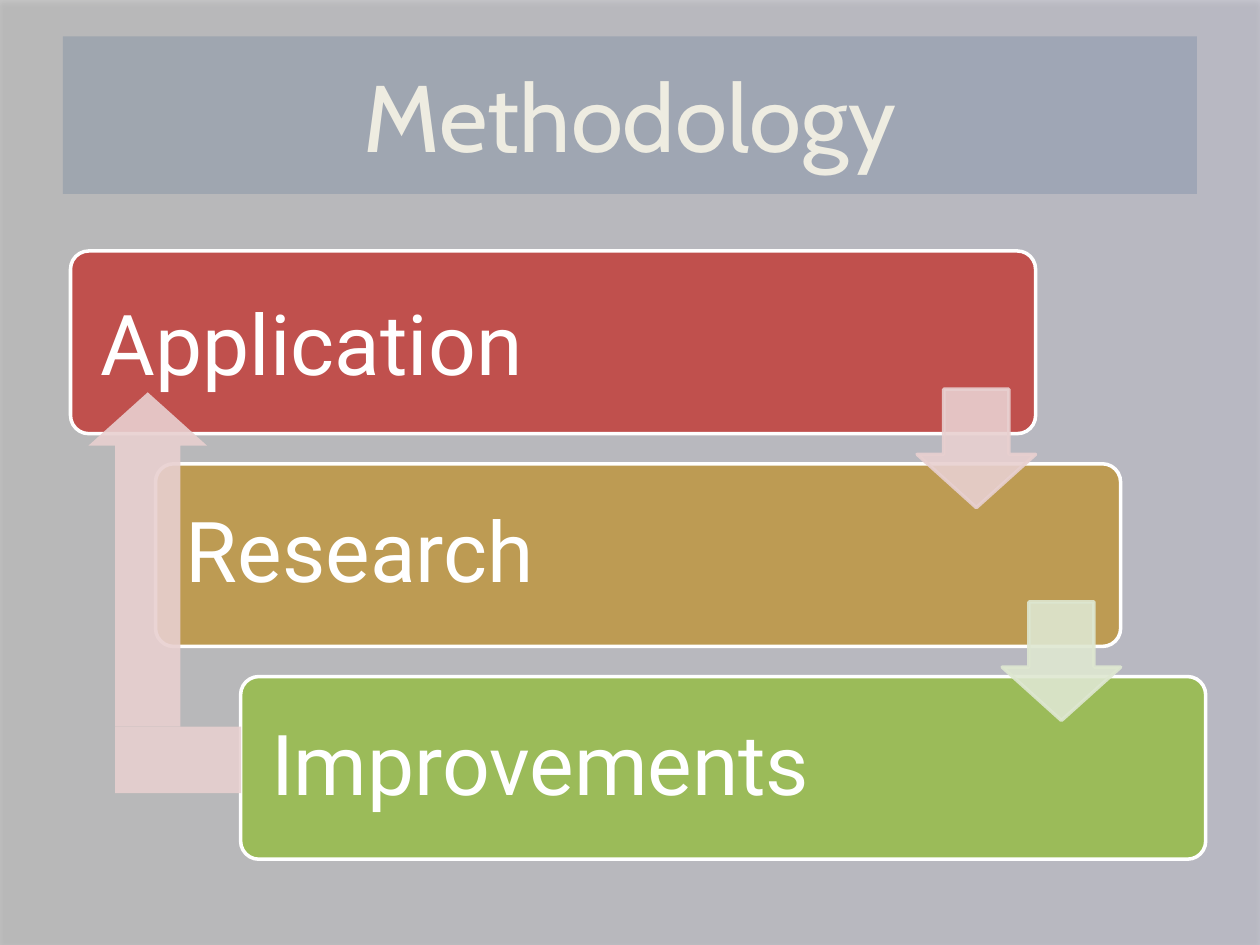
from collections import namedtuple

from lxml import etree
from pptx import Presentation
from pptx.dml.color import RGBColor
from pptx.enum.shapes import MSO_SHAPE as Preset
from pptx.enum.text import MSO_ANCHOR as Anchor, PP_ALIGN as Align
from pptx.oxml.ns import qn
from pptx.util import Pt

Box = namedtuple("Box", "left top width height")

COLORS = {
    "black": "000000", "midnight": "00002A", "navy": "1F497D",
    "cream": "EEECE1", "white": "FFFFFF", "red": "C0504D",
    "gold": "BD9B53", "green": "9BBB59", "pink": "E8D0D0", "mint": "DEE7D1",
}
STEPS = [
    ("Application", "red", "pink", 1.0, 439.2),
    ("Research", "gold", "mint", 0.9, 429.1),
    ("Improvements", "green", None, 0.9, 429.1),
]


def rgb(name):
    """Return the palette colour of the given name."""
    return RGBColor.from_string(COLORS[name])


def set_alpha(shape, percent):
    """Give every colour of a shape's fill and line the same opacity."""
    for color in shape._element.spPr.iter(qn("a:srgbClr")):
        etree.SubElement(color, qn("a:alpha"), val=str(percent * 1000))


def add_shape(page, preset, box, fill, line=None, opacity=100, adjust=()):
    """Draw a flat preset shape in the box."""
    shape = page.shapes.add_shape(preset, *map(Pt, box))
    shape.shadow.inherit = False
    for index, value in enumerate(adjust):
        shape.adjustments[index] = value
    shape.fill.solid()
    shape.fill.fore_color.rgb = rgb(fill)
    if line:
        shape.line.color.rgb = rgb(line)
        shape.line.width = Pt(2)
    else:
        shape.line.fill.background()
    if opacity < 100:
        set_alpha(shape, opacity)
    return shape


def write(shape, text, font, size, color, align, inset=None, spacing=1.0):
    """Set one vertically centred line of text in a shape."""
    frame = shape.text_frame
    frame.word_wrap = True
    frame.vertical_anchor = Anchor.MIDDLE
    if inset is not None:
        frame.margin_left = frame.margin_right = Pt(inset)
        frame.margin_top = frame.margin_bottom = Pt(inset)
    para = frame.paragraphs[0]
    para.alignment = align
    para.line_spacing = spacing
    span = para.add_run()
    span.text = text
    span.font.name = font
    span.font.size = Pt(size)
    span.font.color.rgb = rgb(color)


def add_backdrop(page, box):
    """Cover the box with a translucent gradient and a soft shadow."""
    shape = add_shape(page, Preset.RECTANGLE, box, "black")
    shape.fill.gradient()
    shape.fill.gradient_angle = 0
    for stop, name in zip(shape.fill.gradient_stops, ("black", "midnight")):
        stop.color.rgb = rgb(name)
    set_alpha(shape, 21)
    effects = shape._element.spPr.find(qn("a:effectLst"))
    shadow = etree.SubElement(
        effects, qn("a:outerShdw"), blurRad=str(Pt(3.1)), dist=str(Pt(1.8)),
        dir="5400000", rotWithShape="0")
    color = etree.SubElement(shadow, qn("a:srgbClr"), val=COLORS["black"])
    etree.SubElement(color, qn("a:alpha"), val="35000")


def add_title(page, box):
    """Place the title on its tinted band."""
    band = add_shape(page, Preset.RECTANGLE, box, "navy", opacity=16)
    write(band, "Methodology", "Cabin", 54, "cream", Align.CENTER)


def add_staircase(page, box):
    """Place the descending cards, then the arrows between them."""
    card_width, card_height, arrow_size = 551.5, 104.4, 67.7
    gaps = len(STEPS) - 1
    across = (box.width - card_width) / gaps
    down = (box.height - card_height) / gaps
    corners = [(box.left + i * across, box.top + i * down)
               for i in range(len(STEPS))]
    for (left, top), (text, fill, _, spacing, width) in zip(corners, STEPS):
        add_shape(page, Preset.ROUNDED_RECTANGLE,
                  Box(left, top, card_width, card_height),
                  fill, "white", adjust=(0.1,))
        label = page.shapes.add_textbox(
            Pt(left + 3), Pt(top + 3), Pt(width), Pt(card_height - 6))
        write(label, text, "Roboto", 48, "white", Align.LEFT, 14.4, spacing)
    for (left, top), (_, _, arrow, _, _) in zip(corners, STEPS):
        if arrow:
            add_shape(page, Preset.DOWN_ARROW,
                      Box(left + card_width - arrow_size, top + 79,
                          arrow_size, arrow_size),
                      arrow, arrow, 90, (0.55, 0.45))


def add_return_path(page, box):
    """Place the arrow that leads from the last card back to the first."""
    foot_height, arrow_width = 38, 67.7
    shaft_inset = arrow_width * 0.45 / 2
    shaft_height = box.height - foot_height
    add_shape(page, Preset.UP_ARROW,
              Box(box.left, box.top, arrow_width, shaft_height),
              "pink", opacity=90, adjust=(0.55, 0.45))
    add_shape(page, Preset.RECTANGLE,
              Box(box.left + shaft_inset, box.top + shaft_height,
                  box.width - shaft_inset, foot_height),
              "pink", opacity=88)


def main():
    """Build the slide and save it."""
    deck = Presentation()
    deck.slide_width, deck.slide_height = Pt(720), Pt(540)
    page = deck.slides.add_slide(deck.slide_layouts[6])
    add_backdrop(page, Box(0, 0, 720, 540))
    add_title(page, Box(36, 20.8, 648, 90))
    add_staircase(page, Box(40.3, 143.4, 648.7, 347.6))
    add_return_path(page, Box(50.6, 224.2, 87.2, 229))
    deck.save("out.pptx")


if __name__ == "__main__":
    main()
